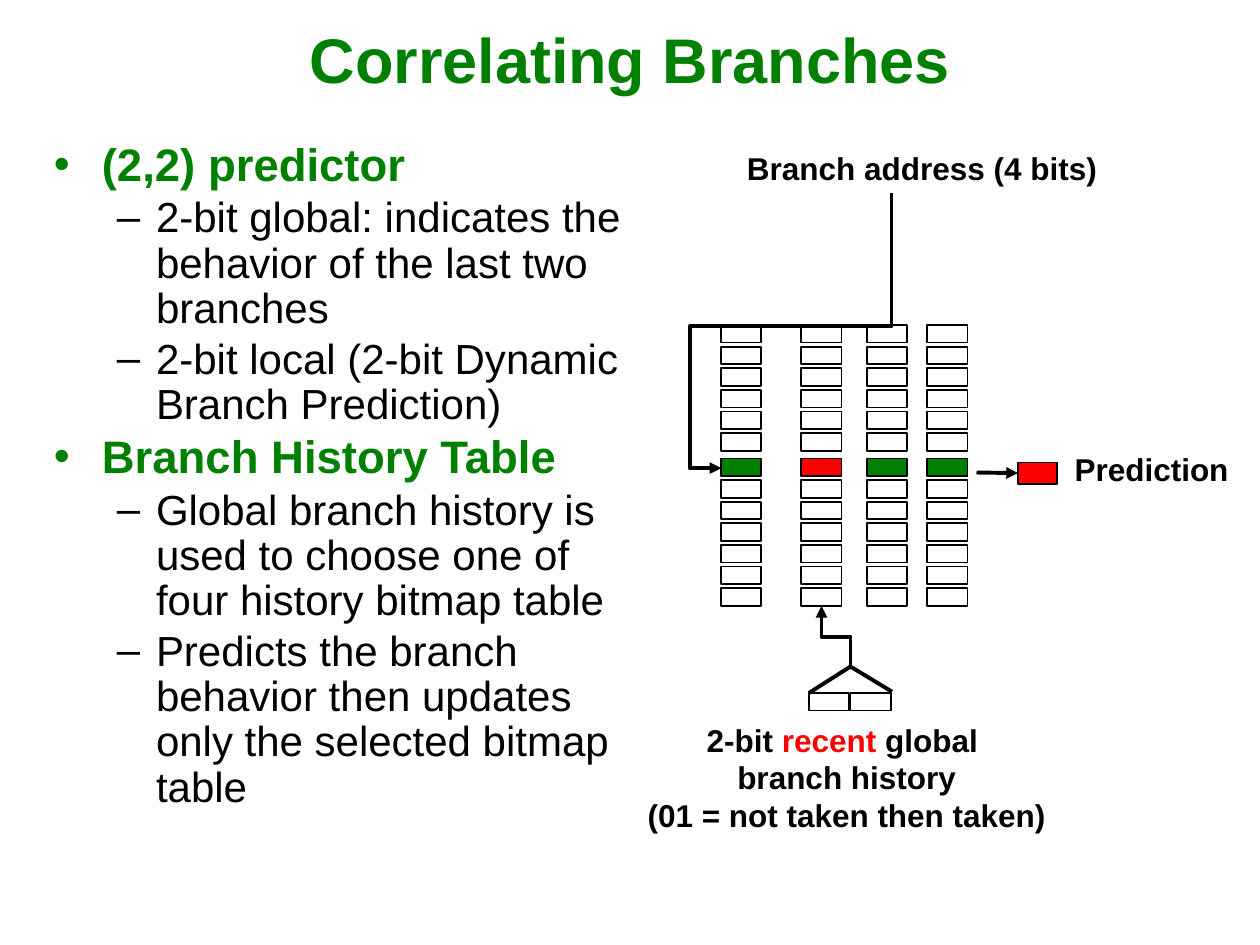
from dataclasses import dataclass
from typing import Any, Optional

from lxml import etree
from pptx import Presentation
from pptx import util as u
from pptx.dml.color import RGBColor
from pptx.enum import shapes, text
from pptx.oxml.ns import qn

IN = u.Inches


@dataclass(frozen=True)
class Theme:
    font: str = "Arial"
    green: str = "008000"
    red: str = "FF0000"
    black: str = "000000"
    white: str = "FFFFFF"
    title: int = 36
    head: int = 26
    item: int = 24
    label: int = 18
    thin: float = 1
    thick: float = 2.25


T = Theme()


@dataclass(frozen=True)
class Box:
    x: float
    y: float
    w: float
    h: float

    def size(self) -> tuple:
        return IN(self.x), IN(self.y), IN(self.w), IN(self.h)


@dataclass(frozen=True)
class Level:
    size: int
    color: str
    bold: bool
    mark: str
    left: float
    hang: float
    before: float


@dataclass(frozen=True)
class Label:
    box: Box
    lines: tuple  # each line is a tuple of (words, color)
    align: Any = text.PP_ALIGN.LEFT
    indent: float = 0


@dataclass(frozen=True)
class Elbow:
    """Box before turning, angle, preset and its bend ratios."""
    box: Box
    turn: int
    preset: str
    bends: tuple
    flip: bool = False


def style(item: Any, values: dict) -> None:
    for name, value in values.items():
        setattr(item, name, value)


def write(para: Any, words: str, size: int, color: str, bold: bool) -> None:
    run = para.add_run()
    run.text = words
    style(run.font, {"name": T.font, "size": u.Pt(size), "bold": bold})
    run.font.color.rgb = RGBColor.from_string(color)


def indent(para: Any, left: float, hang: float = 0) -> None:
    props = para._p.get_or_add_pPr()
    props.set("marL", str(IN(left)))
    props.set("indent", str(-IN(hang)))


def bullet(para: Any, level: Level) -> None:
    indent(para, level.left, level.hang)
    props = para._p.get_or_add_pPr()
    tint = etree.SubElement(props, qn("a:buClr"))
    etree.SubElement(tint, qn("a:srgbClr"), val=level.color)
    etree.SubElement(props, qn("a:buFont"), typeface=T.font)
    etree.SubElement(props, qn("a:buChar"), char=level.mark)


def paint(shape: Any, fill: Optional[str]) -> None:
    """Fill a shape and outline it thinly; None leaves it open."""
    shape.shadow.inherit = False
    if fill:
        shape.fill.solid()
        shape.fill.fore_color.rgb = RGBColor.from_string(fill)
    else:
        shape.fill.background()
    stroke(shape, T.thin)


def stroke(shape: Any, width: float) -> None:
    shape.line.width = u.Pt(width)
    shape.line.color.rgb = RGBColor.from_string(T.black)


def cell(tree: Any, box: Box, fill: Optional[str] = None) -> Any:
    shape = tree.add_shape(shapes.MSO_SHAPE.RECTANGLE, *box.size())
    paint(shape, fill)
    return shape


def label(tree: Any, note: Label) -> None:
    shape = tree.add_textbox(*note.box.size())
    shape.fill.solid()
    shape.fill.fore_color.rgb = RGBColor.from_string(T.white)
    frame = shape.text_frame
    style(frame, {"word_wrap": False,
                  "auto_size": text.MSO_AUTO_SIZE.SHAPE_TO_FIT_TEXT})
    for i, line in enumerate(note.lines):
        para = frame.add_paragraph() if i else frame.paragraphs[0]
        para.alignment = note.align
        if note.indent:
            indent(para, note.indent)
            style(para, {"line_spacing": 0.9, "space_before": u.Pt(6.8)})
        for words, color in line:
            write(para, words, T.label, color, True)


def arrow(line: Any) -> None:
    """Thick black line with a triangle at its end and no shadow."""
    stroke(line, T.thick)
    etree.SubElement(line.line._get_or_add_ln(), qn("a:tailEnd"), type="triangle")
    etree.SubElement(line._element.spPr, qn("a:effectLst"))


def elbow(tree: Any, bend: Elbow) -> None:
    b = bend.box
    top, low = (b.y + b.h, b.y) if bend.flip else (b.y, b.y + b.h)
    line = tree.add_connector(shapes.MSO_CONNECTOR.ELBOW,
                              IN(b.x), IN(top), IN(b.x + b.w), IN(low))
    props = line._element.spPr
    props.find(qn("a:xfrm")).set("rot", str(bend.turn * 60000))
    geom = props.find(qn("a:prstGeom"))
    geom.set("prst", bend.preset)
    guides = geom.find(qn("a:avLst"))
    for i, ratio in enumerate(bend.bends, 1):
        etree.SubElement(guides, qn("a:gd"), name=f"adj{i}",
                         fmla=f"val {round(ratio * 100000)}")
    arrow(line)


HEAD = Level(T.head, T.green, True, "•", 0.38, 0.38, 3.3)
ITEM = Level(T.item, T.black, False, "–", 0.81, 0.31, 3)
POINTS = (
    (HEAD, "(2,2) predictor"),
    (ITEM, "2-bit global: indicates the behavior of the last two branches"),
    (ITEM, "2-bit local (2-bit Dynamic Branch Prediction)"),
    (HEAD, "Branch History Table"),
    (ITEM, "Global branch history is used to choose one of four history bitmap table"),
    (ITEM, "Predicts the branch behavior then updates only the selected bitmap table"),
)
LABELS = (
    Label(Box(5.33, 1.17, 3.48, 0.37),
          ((("Branch address (4 bits)", T.black),),), indent=0.5),
    Label(Box(8.43, 3.52, 1.42, 0.4), ((("Prediction", T.black),),)),
    Label(Box(5.04, 5.67, 3.36, 1),
          ((("2-bit ", T.black), ("recent ", T.red), ("global ", T.black)),
           (("branch history", T.black),),
           (("(01 = not taken then taken)", T.black),)),
          text.PP_ALIGN.CENTER),
)
ELBOWS = (
    Elbow(Box(5.31, 1.95, 2.18, 1.35), 90, "bentConnector4", (0.484, 1.185)),
    Elbow(Box(6.4, 4.93, 0.47, 0.23), 270, "bentConnector3", (0.481,), True),
)
COLS = {5.72: T.green, 6.36: T.red, 6.88: T.green, 7.36: T.green}
ROWS, PICK, TOP, STEP, GAP = 13, 6, 2.58, 0.17, 0.03
WIDE, HIGH = 0.32, 0.14


def title(tree: Any) -> None:
    frame = tree.add_textbox(*Box(0, 0, 10, 0.92).size()).text_frame
    style(frame, {"word_wrap": True, "vertical_anchor": text.MSO_ANCHOR.MIDDLE,
                  "margin_left": IN(0.3), "margin_right": IN(0.3)})
    para = frame.paragraphs[0]
    para.alignment = text.PP_ALIGN.CENTER
    write(para, "Correlating Branches", T.title, T.green, True)


def body(tree: Any) -> None:
    frame = tree.add_textbox(*Box(0.33, 1.08, 4.92, 5.58).size()).text_frame
    frame.word_wrap = True
    for i, (level, words) in enumerate(POINTS):
        para = frame.add_paragraph() if i else frame.paragraphs[0]
        style(para, {"line_spacing": 0.9, "space_before": u.Pt(level.before)})
        bullet(para, level)
        write(para, words, level.size, level.color, level.bold)


def table(tree: Any) -> None:
    """Four history columns; the picked row is filled and set off by a gap."""
    for row in range(ROWS):
        y = TOP + row * (STEP + 0.0015) + (GAP if row >= PICK else 0)
        group = tree.add_group_shape().shapes
        for x, color in COLS.items():
            cell(group, Box(x, y, WIDE, HIGH), color if row == PICK else None)


def main() -> None:
    deck = Presentation()
    style(deck, {"slide_width": IN(10), "slide_height": IN(7.5)})
    tree = deck.slides.add_slide(deck.slide_layouts[6]).shapes
    title(tree)
    body(tree)
    for note in LABELS:
        label(tree, note)
    guess = cell(tree, Box(8.08, 3.67, 0.31, 0.17), T.red)
    table(tree)
    line = tree.add_connector(shapes.MSO_CONNECTOR.STRAIGHT,
                              IN(7.75), IN(3.75), IN(8.08), IN(3.75))
    line.end_connect(guess, 1)
    arrow(line)
    for x in (6.75, 6.42):
        cell(tree, Box(x, 5.5, WIDE, HIGH))
    pen = tree.build_freeform(IN(6.42), IN(5.5))
    pen.add_line_segments([(IN(6.75), IN(5.29)), (IN(7.08), IN(5.49))], close=False)
    roof = pen.convert_to_shape()
    paint(roof, None)
    stroke(roof, T.thick)
    for bend in ELBOWS:
        elbow(tree, bend)
    deck.save("out.pptx")


if __name__ == "__main__":
    main()
